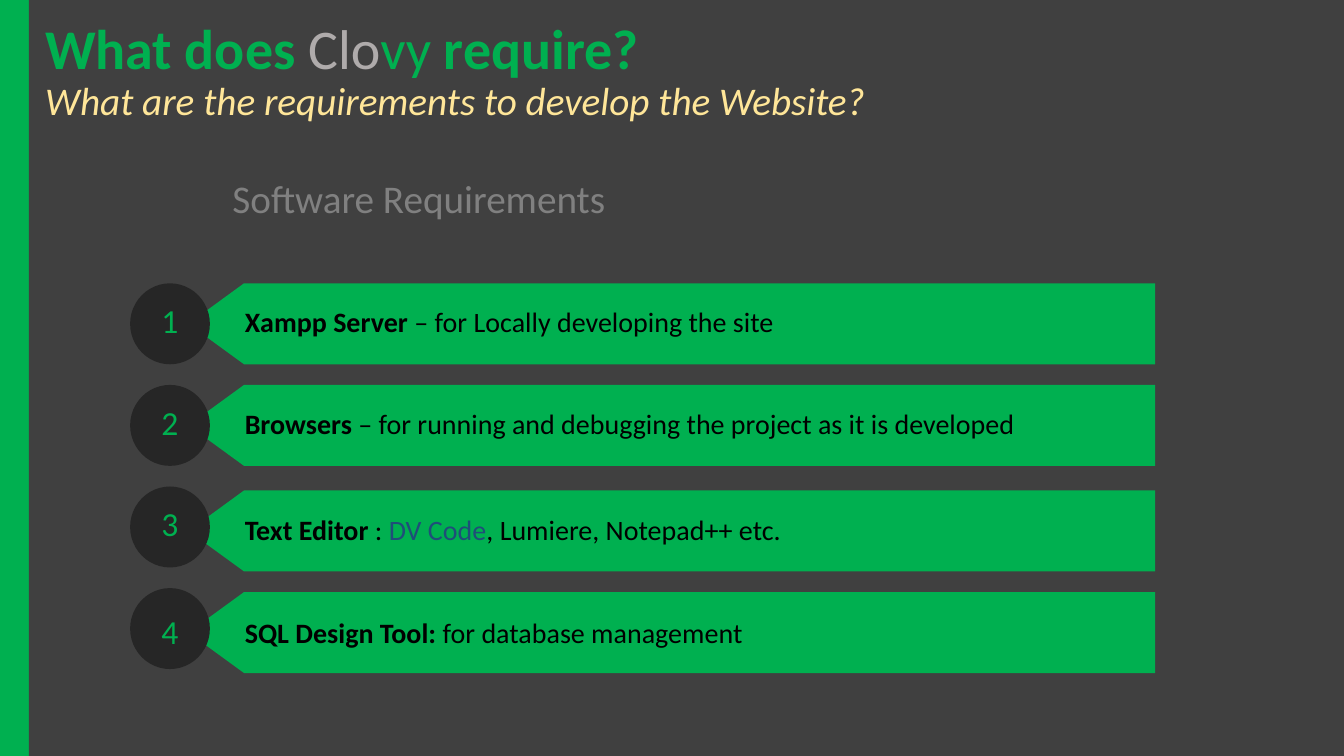
from dataclasses import dataclass

from pptx import Presentation
from pptx.dml.color import RGBColor
from pptx.enum.shapes import MSO_SHAPE
from pptx.enum.text import MSO_ANCHOR, PP_ALIGN
from pptx.util import Cm, Pt

RECTANGLE, OVAL = MSO_SHAPE.RECTANGLE, MSO_SHAPE.OVAL
MIDDLE, BOTTOM = MSO_ANCHOR.MIDDLE, MSO_ANCHOR.BOTTOM
LEFT, CENTER = PP_ALIGN.LEFT, PP_ALIGN.CENTER

FONT = "Calibri"
COLORS = {
    "green": "00B050",
    "background": "404040",
    "badge": "262626",
    "name": "AFABAB",
    "subtitle": "FFE699",
    "heading": "808080",
    "text": "000000",
    "editor": "1F4E79",
}

SLIDE_WIDTH, SLIDE_HEIGHT = 33.87, 19.05
BAR_WIDTH = 0.73
ROW_TOP, ROW_PITCH, ROW_HEIGHT = 7.14, 2.56, 2.04
BADGE_LEFT, BADGE_WIDTH = 3.28, 2.01
BANNER_LEFT, BANNER_WIDTH, BANNER_POINT = 4.75, 24.36, 1.4
NUMBER_LEFT, NUMBER_WIDTH, NUMBER_HEIGHT, NUMBER_DROP = 3.81, 0.94, 1.27, 0.3


@dataclass
class Span:
    text: str
    color: str = "text"
    bold: bool = False
    italic: bool = False


@dataclass
class Requirement:
    spans: list[Span]
    banner_shift: float = 0
    number_shift: float = 0
    line_spacing: float = 0.9


REQUIREMENTS = [
    Requirement([Span("Xampp Server ", bold=True),
                 Span("– for Locally developing the site")]),
    Requirement([Span("Browsers ", bold=True),
                 Span("– for running and debugging the project as it is developed")]),
    Requirement([Span("Text Editor ", bold=True), Span(": "),
                 Span("DV Code", "editor"), Span(", Lumiere, Notepad++ etc.")],
                banner_shift=0.1),
    Requirement([Span("SQL Design Tool: ", bold=True),
                 Span("for database management")],
                banner_shift=0.1, number_shift=0.15, line_spacing=1.0),
]


def paint(shape, color: str) -> None:
    shape.shadow.inherit = False
    shape.fill.solid()
    shape.fill.fore_color.rgb = RGBColor.from_string(COLORS[color])
    shape.line.fill.background()


def add_block(page, kind, left: float, top: float, width: float, height: float,
              color: str) -> None:
    block = page.shapes.add_shape(kind, Cm(left), Cm(top), Cm(width), Cm(height))
    paint(block, color)


def write(para, spans: list[Span], size: int, line_spacing: float = 1.0,
          align=LEFT) -> None:
    para.alignment = align
    para.line_spacing = line_spacing
    for span in spans:
        run = para.add_run()
        run.text = span.text
        run.font.name = FONT
        run.font.size = Pt(size)
        run.font.bold = span.bold
        run.font.italic = span.italic
        run.font.color.rgb = RGBColor.from_string(COLORS[span.color])


def add_text_frame(page, left: float, top: float, width: float, height: float,
                   wrap: bool = True):
    box = page.shapes.add_textbox(Cm(left), Cm(top), Cm(width), Cm(height))
    box.text_frame.word_wrap = wrap
    return box.text_frame


def add_title(page) -> None:
    frame = add_text_frame(page, 0.89, 0, 32.98, 3.25)
    frame.vertical_anchor = BOTTOM
    question = [Span("What does ", "green", bold=True), Span("Clo", "name"),
                Span("vy", "green"), Span(" require?", "green", bold=True)]
    subtitle = [Span("What are the requirements to develop the Website?",
                     "subtitle", italic=True)]
    write(frame.paragraphs[0], question, 40, 0.9)
    write(frame.add_paragraph(), subtitle, 28, 0.9)


def add_banner(page, top: float, requirement: Requirement) -> None:
    """Draw a bar pointing left, with the requirement written on it."""
    right, shoulder = BANNER_LEFT + BANNER_WIDTH, BANNER_LEFT + BANNER_POINT
    bottom = top + ROW_HEIGHT
    builder = page.shapes.build_freeform(Cm(right), Cm(bottom))
    corners = [(shoulder, bottom), (BANNER_LEFT, top + ROW_HEIGHT / 2),
               (shoulder, top), (right, top)]
    builder.add_line_segments([(Cm(x), Cm(y)) for x, y in corners], close=True)
    banner = builder.convert_to_shape()
    paint(banner, "green")
    frame = banner.text_frame
    frame.word_wrap = True
    frame.vertical_anchor = MIDDLE
    frame.margin_left, frame.margin_right = Cm(1.42), Cm(0.41)
    frame.margin_top = frame.margin_bottom = Cm(0.2)
    write(frame.paragraphs[0], requirement.spans, 20, requirement.line_spacing)


def add_requirement(page, index: int, requirement: Requirement) -> None:
    top = ROW_TOP + index * ROW_PITCH
    add_banner(page, top + requirement.banner_shift, requirement)
    add_block(page, OVAL, BADGE_LEFT, top, BADGE_WIDTH, ROW_HEIGHT, "badge")
    number_top = top + NUMBER_DROP + requirement.number_shift
    frame = add_text_frame(page, NUMBER_LEFT, number_top, NUMBER_WIDTH,
                           NUMBER_HEIGHT, wrap=False)
    write(frame.paragraphs[0], [Span(str(index + 1), "green")], 24, align=CENTER)


def main() -> None:
    deck = Presentation()
    deck.slide_width, deck.slide_height = Cm(SLIDE_WIDTH), Cm(SLIDE_HEIGHT)
    page = deck.slides.add_slide(deck.slide_layouts[6])
    add_block(page, RECTANGLE, 0, 0, BAR_WIDTH, SLIDE_HEIGHT, "green")
    add_block(page, RECTANGLE, BAR_WIDTH, 0, SLIDE_WIDTH - BAR_WIDTH,
              SLIDE_HEIGHT, "background")
    add_title(page)
    heading = add_text_frame(page, 5.61, 4.27, 16.21, 1.45)
    write(heading.paragraphs[0], [Span("Software Requirements", "heading")], 28)
    for index, requirement in enumerate(REQUIREMENTS):
        add_requirement(page, index, requirement)
    deck.save("out.pptx")


if __name__ == "__main__":
    main()
